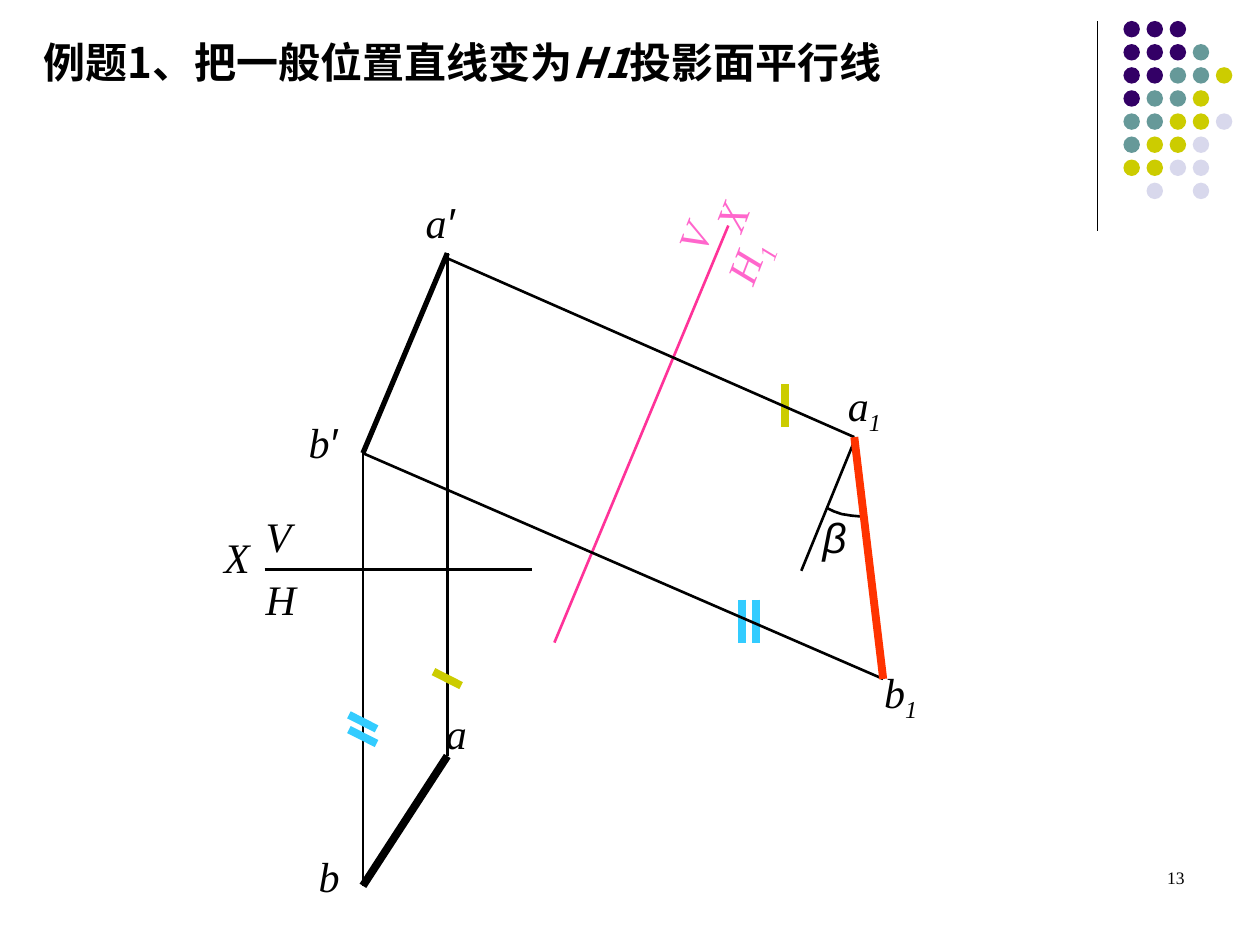
"""Build a descriptive-geometry slide: an oblique line turned parallel to plane H1."""
from lxml import etree
from pptx import Presentation
from pptx import util as u
from pptx.dml.color import RGBColor
from pptx.enum import shapes, text
from pptx.oxml.ns import qn

COLOURS = {
    "black": "000000", "purple": "330066", "teal": "669999", "olive": "CCCC00",
    "lilac": "D8D8EC", "sky": "33CCFF", "rose": "FF3399", "pink": "FF66CC",
    "red": "FF3300",
}
SERIF, SANS, CJK = "Times New Roman", "Arial", "Noto Sans CJK SC"
DOT_ROWS = ["PPP", "PPPT", "PPTTO", "PTTO", "TTOOL", "TOOL", "OOLL", " L L"]
DOT_COLOURS = {"P": "purple", "T": "teal", "O": "olive", "L": "lilac"}
DOT_LEFT, DOT_TOP, DOT_PITCH, DOT_SIZE = 642, 12, 13.2, 9.4

A_FRONT, B_FRONT = (255.6, 144.7), (207.4, 259)
A_TOP, B_TOP = (255.6, 432), (207.4, 506.2)
A_NEW, B_NEW = (488.2, 249.8), (504.7, 388)


def colour(name):
    """Return the named colour."""
    return RGBColor.from_string(COLOURS[name])


def set_typeface(font, name):
    """Use one typeface for Latin and East Asian characters."""
    font.name = name
    etree.SubElement(font._rPr, qn("a:ea")).set("typeface", name)


def add_line(page, start, end, name="black", width=1.5):
    """Draw a straight line without a shadow."""
    ends = [u.Pt(value) for value in (*start, *end)]
    line = page.shapes.add_connector(shapes.MSO_CONNECTOR.STRAIGHT, *ends)
    line.line.color.rgb = colour(name)
    line.line.width = u.Pt(width)
    etree.SubElement(line._element.spPr, qn("a:effectLst"))


def add_path(page, points, name="black", width=1.5):
    """Draw an open, unfilled path through the points."""
    first, *rest = [(u.Pt(x), u.Pt(y)) for x, y in points]
    builder = page.shapes.build_freeform(*first, scale=1.0)
    builder.add_line_segments(rest, close=False)
    path = builder.convert_to_shape()
    path.shadow.inherit = False
    path.fill.background()
    path.line.color.rgb = colour(name)
    path.line.width = u.Pt(width)


def add_dots(page):
    """Draw the corner pattern of coloured dots."""
    for row, codes in enumerate(DOT_ROWS):
        for column, code in enumerate(codes):
            if code == " ":
                continue
            dot = page.shapes.add_shape(
                shapes.MSO_SHAPE.OVAL,
                u.Pt(DOT_LEFT + column * DOT_PITCH), u.Pt(DOT_TOP + row * DOT_PITCH),
                u.Pt(DOT_SIZE), u.Pt(DOT_SIZE))
            dot.shadow.inherit = False
            dot.fill.solid()
            dot.fill.fore_color.rgb = colour(DOT_COLOURS[code])
            dot.line.fill.background()


def add_text(page, left, top, width, height=36, size=24, wrap=True):
    """Add an empty text box and return it with its paragraph."""
    box = page.shapes.add_textbox(u.Pt(left), u.Pt(top), u.Pt(width), u.Pt(height))
    box.text_frame.word_wrap = wrap
    para = box.text_frame.paragraphs[0]
    para.font.size = u.Pt(size)
    para.font.color.rgb = colour("black")
    return box, para


def add_label(page, letter, left, top, width, prime="", index="",
              name="black", turn=0, face=SERIF, wrap=True):
    """Add an italic point or plane label with an optional prime or index."""
    box, para = add_text(page, left, top, width, 40.3 if index else 36, wrap=wrap)
    box.text_frame.auto_size = text.MSO_AUTO_SIZE.SHAPE_TO_FIT_TEXT
    box.rotation = turn
    para.font.italic = True
    para.font.color.rgb = colour(name)
    set_typeface(para.font, face)
    para.add_run().text = letter
    if prime:
        span = para.add_run()
        span.text = prime
        set_typeface(span.font, SANS)
    if index:
        span = para.add_run()
        span.text = index
        span._r.get_or_add_rPr().set("baseline", "-25000")


def add_title(page):
    """Add the bold heading with its italic plane name."""
    box, para = add_text(page, 18, 17.3, 536.4, wrap=False)
    box.text_frame.auto_size = text.MSO_AUTO_SIZE.SHAPE_TO_FIT_TEXT
    para.font.bold = True
    set_typeface(para.font, CJK)
    for words, italic in (("例题1、把一般位置直线变为", False), ("H1", True),
                          ("投影面平行线", False)):
        span = para.add_run()
        span.text = words
        span.font.italic = italic


def add_page_number(page):
    """Add the page number at the lower right."""
    _, para = add_text(page, 516.2, 491.8, 167.8, size=10)
    para.alignment = text.PP_ALIGN.RIGHT
    set_typeface(para.font, SERIF)
    para.add_run().text = "13"


def add_old_views(page):
    """Draw the front and top views on either side of the X axis."""
    add_line(page, (151.2, 325.4), (303.8, 325.4))
    add_line(page, B_TOP, B_FRONT)
    add_line(page, A_TOP, A_FRONT)
    add_line(page, B_FRONT, A_FRONT, width=3)
    add_line(page, B_TOP, A_TOP, width=4.5)
    add_label(page, "b", 169.2, 234.7, 64.1, prime="′")
    add_label(page, "a", 236.2, 108.7, 64.8, prime="′")
    add_label(page, "b", 175, 482.4, 64.1)
    add_label(page, "a", 247.7, 401, 64.1)
    add_label(page, "X", 121, 300.2, 48.2)
    add_label(page, "H", 144.7, 324, 40.3)
    add_label(page, "V", 144.7, 288, 40.3)


def add_distance_marks(page):
    """Mark the equal distances with matching ticks."""
    for x, top, name in ((432, 342.7, "sky"), (424.1, 342.7, "sky"),
                         (448.6, 219.6, "olive")):
        add_line(page, (x, top), (x, top + 24.5), name, 4.5)
    for left, top, name in ((247.7, 383.8, "olive"), (199.4, 416.9, "sky"),
                            (199.4, 408.5, "sky")):
        add_line(page, (left, top), (left + 15.8, top + 8), name, 4.5)


def add_new_axis(page):
    """Draw the new axis with its turned labels."""
    add_line(page, (316.8, 367.2), (416.2, 128.9), "rose")
    turned = {"name": "pink", "turn": 291.2}
    add_label(page, "X", 396.7, 96.5, 49, **turned)
    add_label(page, "H", 401, 118.8, 62.6, index="1", **turned)
    add_label(page, "V", 378, 112.3, 41, **turned)


def add_new_view(page):
    """Draw the view on H1 with the true length and the angle."""
    add_line(page, B_NEW, B_FRONT)
    add_line(page, A_NEW, (255.6, 147.6))
    add_label(page, "a", 477.4, 213.1, 56.2, index="1")
    add_label(page, "b", 498.2, 377.3, 56.2, index="1")
    add_line(page, (488.2, 252), (457.9, 326.2))
    add_path(page, [(492.5, 295.2), (486.7, 294.7), (481, 293.8),
                    (476.6, 292.3), (472.3, 290.2)])
    add_label(page, "β", 463, 288.7, 27.4, face=SANS, wrap=False)
    add_path(page, [B_NEW, A_NEW], "red", 4.5)


def main():
    """Build and save the slide."""
    deck = Presentation()
    deck.slide_width, deck.slide_height = u.Pt(720), u.Pt(540)
    page = deck.slides.add_slide(deck.slide_layouts[6])
    add_line(page, (627.1, 12.2), (627.1, 131.8), width=0.75)
    add_dots(page)
    add_old_views(page)
    add_distance_marks(page)
    add_new_axis(page)
    add_new_view(page)
    add_title(page)
    add_page_number(page)
    deck.save("out.pptx")


if __name__ == "__main__":
    main()
